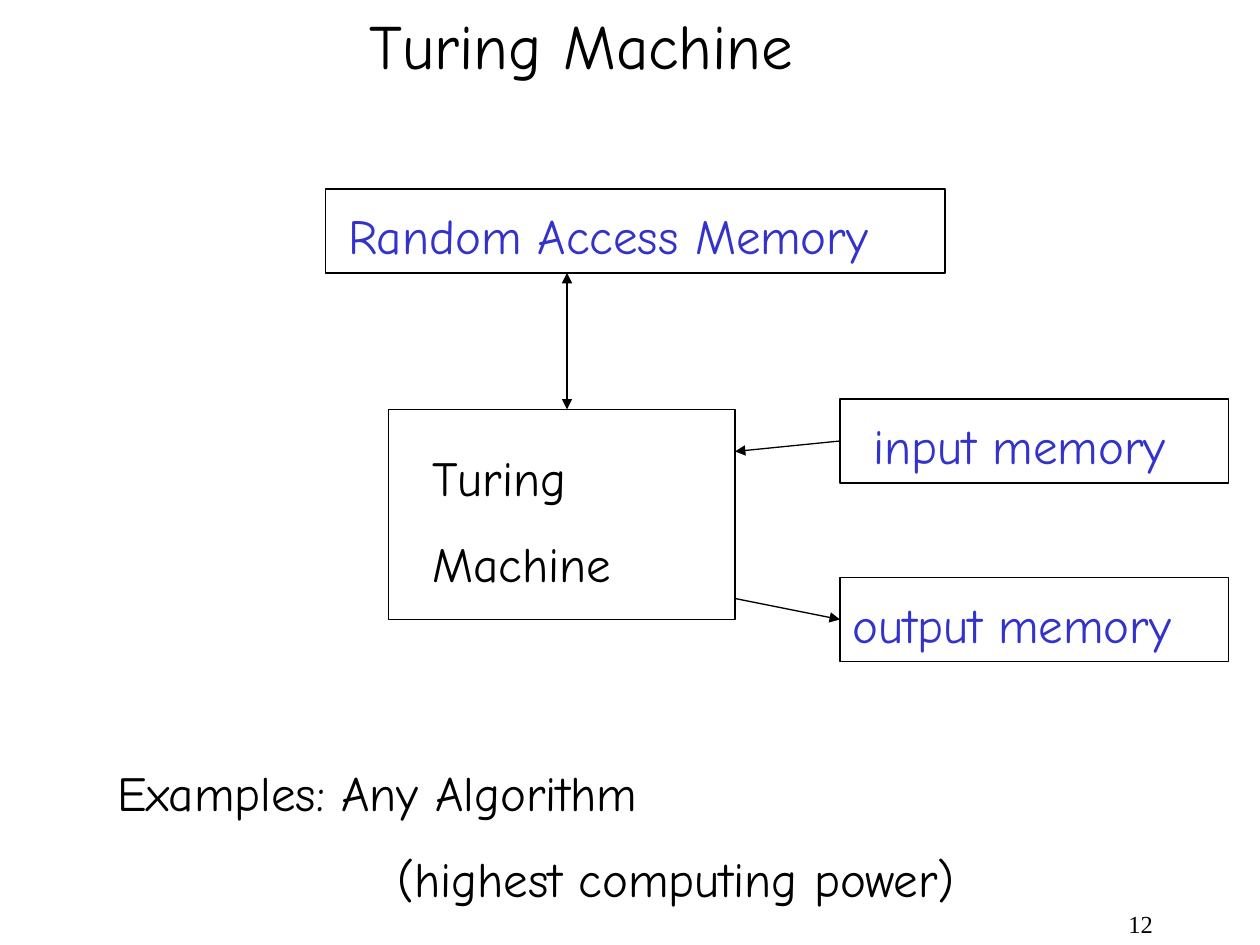
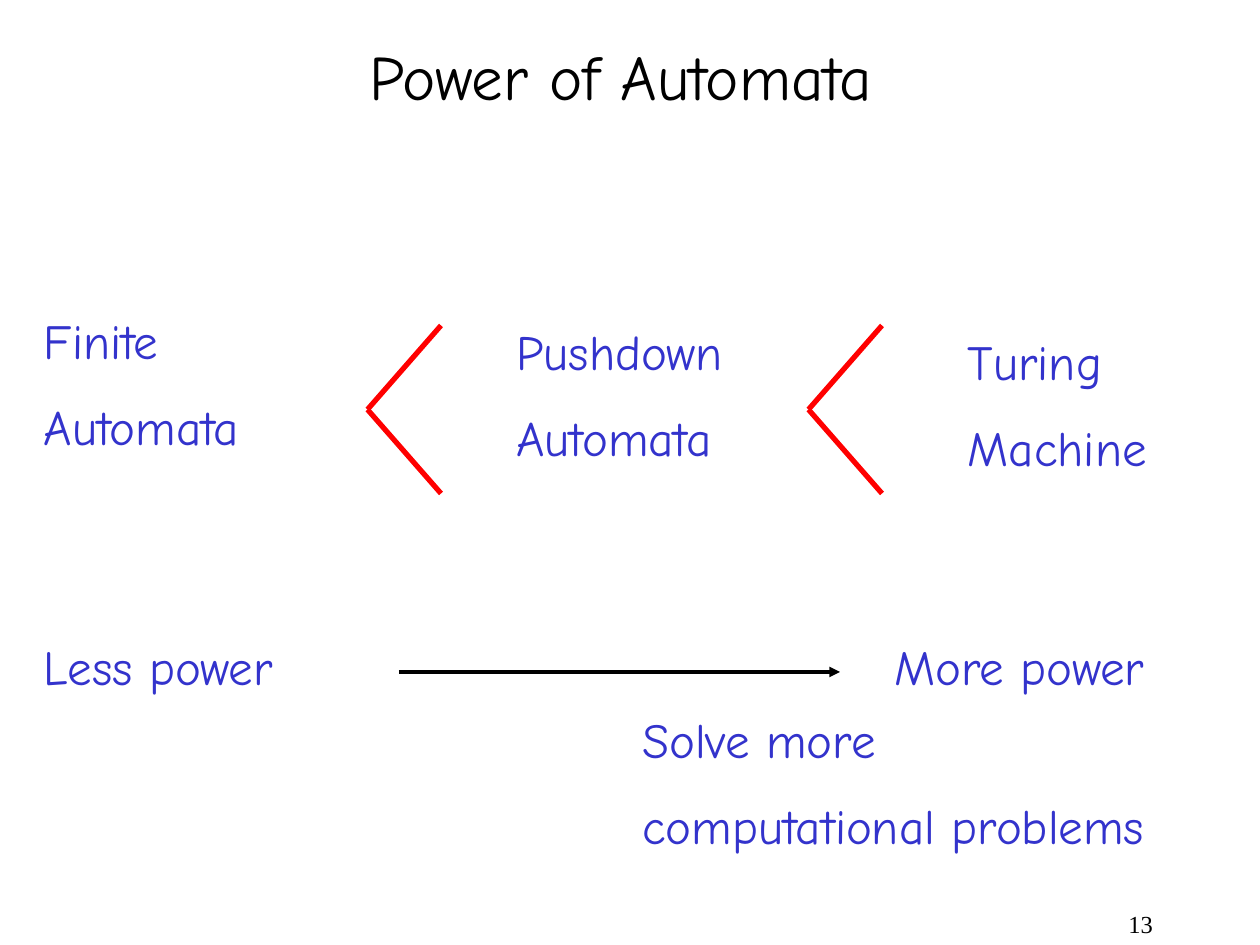
from dataclasses import dataclass
from pptx import Presentation
from pptx import util as u
from pptx.dml.color import RGBColor
from pptx.enum import shapes, text
from pptx.oxml import ns
from lxml import etree


@dataclass(frozen=True)
class Theme:
    ink: str = "000000"
    blue: str = "3333CC"
    red: str = "FF0000"
    font: str = "Comic Neue"
    serif: str = "Times New Roman"
    head: int = 36
    body: int = 28
    foot: int = 14
    gap: float = 15.5
    thin: float = 0.75
    mid: float = 2
    thick: float = 3


LEFT, RIGHT = text.PP_ALIGN.LEFT, text.PP_ALIGN.RIGHT


def grid(n):
    """Length of n steps of the layout grid, twelve to the inch."""
    return u.Cm(n * 2.54 / 12)


def write(shape, lines, font, size, color, gap=0, align=LEFT, indents=()):
    """Fill a shape with one paragraph per line."""
    frame = shape.text_frame
    frame.word_wrap = True
    frame.auto_size = text.MSO_AUTO_SIZE.NONE
    frame.vertical_anchor = text.MSO_ANCHOR.TOP
    frame.text = "\n".join(lines)
    for i, para in enumerate(frame.paragraphs):
        para.alignment = align
        para.space_before = u.Pt(gap if i else 0)
        if i < len(indents) and indents[i]:
            para._p.get_or_add_pPr().set("marL", str(indents[i]))
        run = para.runs[0].font
        run.name, run.size = font, u.Pt(size)
        run.color.rgb = RGBColor.from_string(color)


class Deck:
    def __init__(self, theme):
        self.theme = theme
        self.prs = Presentation()
        self.prs.slide_width, self.prs.slide_height = u.Cm(25.4), u.Cm(19.05)
        self.slide = None

    def page(self, title, number, top, width):
        """Start a slide with its title and page number."""
        t = self.theme
        self.slide = self.prs.slides.add_slide(self.prs.slide_layouts[5])
        head = self.slide.shapes.title
        head.left, head.top = grid(34), grid(top)
        head.width, head.height = grid(width), u.Cm(1.78)
        write(head, [title], t.font, t.head, t.ink)
        foot = self.slide.shapes.add_textbox(
            grid(86), grid(86), grid(25), grid(4))
        write(foot, [str(number)], t.serif, t.foot, t.ink, align=RIGHT)

    def label(self, x, y, width, *lines, color=None, indents=()):
        t = self.theme
        high = u.Cm(1.45 + 1.78 * (len(lines) - 1))
        box = self.slide.shapes.add_textbox(
            grid(x), grid(y), grid(width), high)
        write(box, lines, t.font, t.body, color or t.blue, gap=t.gap,
              indents=indents)

    def box(self, x, y, width, height):
        rect = self.slide.shapes.add_shape(
            shapes.MSO_SHAPE.RECTANGLE,
            grid(x), grid(y), grid(width), grid(height))
        rect.shadow.inherit = False
        rect.fill.background()
        rect.line.color.rgb = RGBColor.from_string(self.theme.ink)
        rect.line.width = u.Pt(self.theme.thin)

    def line(self, start, end, color=None, width=None, ends=()):
        """Straight line; ends lists headEnd and tailEnd arrowheads."""
        t = self.theme
        link = self.slide.shapes.add_connector(
            shapes.MSO_CONNECTOR.STRAIGHT, *map(grid, start + end))
        link.line.color.rgb = RGBColor.from_string(color or t.ink)
        link.line.width = u.Pt(width or t.thin)
        stroke = link.line._get_or_add_ln()
        for tag in ends:
            etree.SubElement(stroke, ns.qn("a:" + tag), type="triangle")
        etree.SubElement(link._element.spPr, ns.qn("a:effectLst"))

    def less(self, x, y, width, height):
        """Less-than sign with its point at x, y."""
        for side in (-1, 1):
            self.line((x, y), (x + width, y + side * height),
                      self.theme.red, self.theme.thick)


def turing(deck):
    deck.page("Turing Machine", 12, top=0, width=46)
    ink = deck.theme.ink

    # Memories and machine
    deck.box(31, 18, 59, 8)
    deck.label(32, 19, 56, "Random Access Memory")
    deck.box(80, 38, 37, 8)
    deck.label(82, 39, 32, "input memory")
    deck.box(80, 55, 37, 8)
    deck.label(80, 56, 35, "output memory")
    deck.box(37, 39, 33, 20)
    deck.label(40, 42, 21, "Turing", "Machine", color=ink)

    # Data flow
    deck.line((54, 26), (54, 39), ends=("headEnd", "tailEnd"))
    deck.line((80, 42), (70, 43), ends=("tailEnd",))
    deck.line((70, 57), (80, 59), ends=("tailEnd",))

    # Examples
    deck.label(10, 72, 84, "Examples: Any Algorithm",
               "(highest computing power)", color=ink,
               indents=(0, u.Cm(5.64)))


def power(deck):
    deck.page("Power of Automata", 13, top=3, width=56)

    # Ranking of models
    deck.label(3, 29, 24, "Finite", "Automata")
    deck.label(48, 30, 24, "Pushdown", "Automata")
    deck.label(91, 31, 21, "Turing", "Machine")
    for x in (35, 77):
        deck.less(x, 39, 7, 8)

    # Scale of power
    deck.label(3, 60, 27, "Less power")
    deck.line((38, 64), (80, 64), width=deck.theme.mid, ends=("tailEnd",))
    deck.label(84, 60, 29, "More power")
    deck.label(60, 67, 54, "Solve more", "computational problems")


def main():
    deck = Deck(Theme())
    turing(deck)
    power(deck)
    deck.prs.save("out.pptx")


if __name__ == "__main__":
    main()
